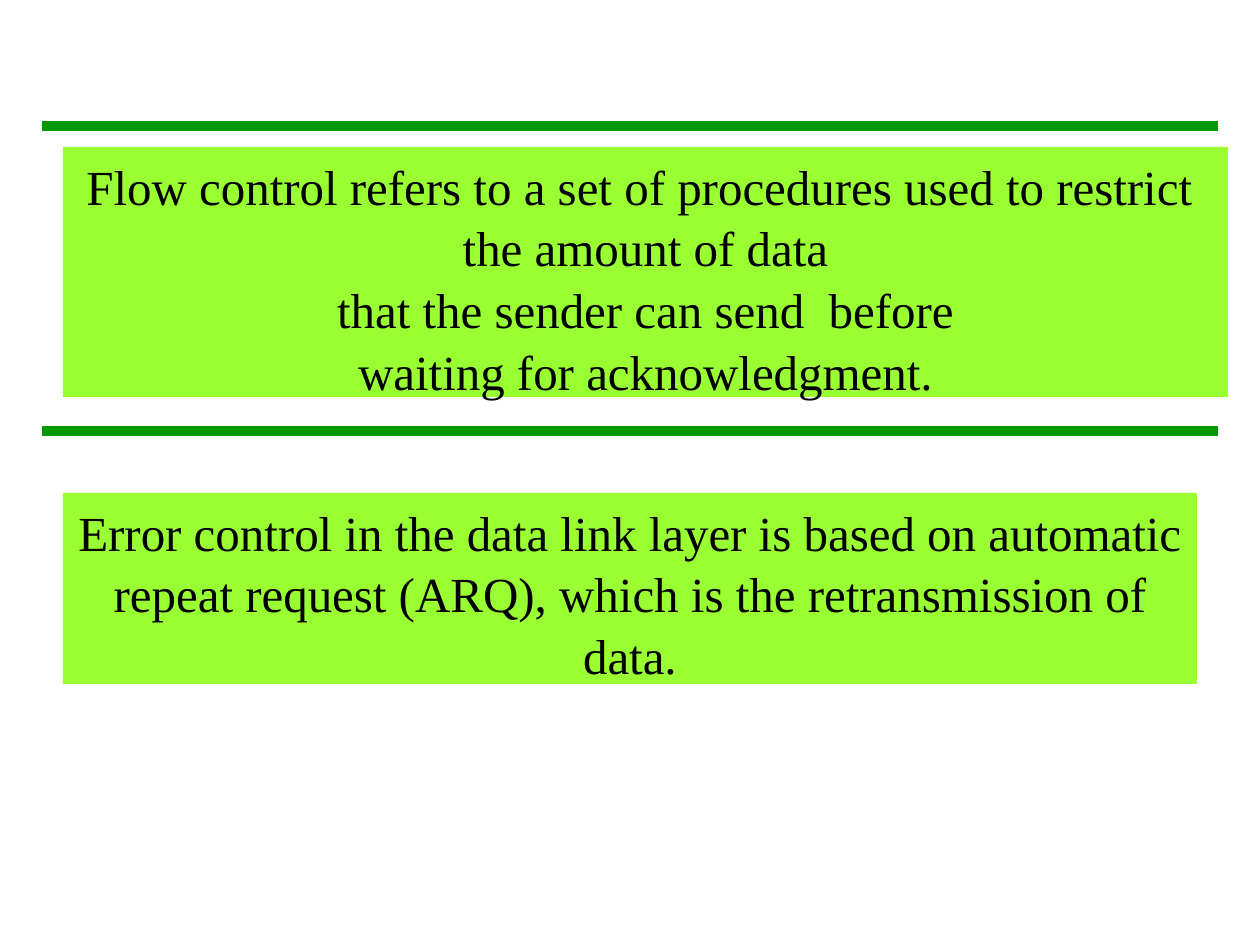
from pptx import Presentation
from pptx.dml.color import RGBColor
from pptx.enum.shapes import MSO_CONNECTOR, MSO_SHAPE
from pptx.enum.text import MSO_ANCHOR, PP_ALIGN
from pptx.oxml.ns import qn
from pptx.util import Emu, Pt
from lxml import etree

PX = 914400 // 126
COLORS = {"rule": "009900", "panel": "99FF33", "text": "000000"}

FLOW_CONTROL = [
    "Flow control refers to a set of procedures used to restrict  the amount of data",
    "that the sender can send  before",
    "waiting for acknowledgment.",
]
ERROR_CONTROL = [
    "Error control in the data link layer is based on automatic repeat request "
    "(ARQ), which is the retransmission of data.",
]


def px(n):
    return Emu(n * PX)


def color(name):
    return RGBColor.from_string(COLORS[name])


def add_rule(slide, x, y, width):
    line = slide.shapes.add_connector(
        MSO_CONNECTOR.STRAIGHT, px(x), px(y), px(x + width), px(y))
    line.line.color.rgb = color("rule")
    line.line.width = Pt(6)
    etree.SubElement(line._element.spPr, qn("a:effectLst"))


def add_panel(slide, x, y, width, height, lines):
    sp = slide.shapes.add_shape(
        MSO_SHAPE.RECTANGLE, px(x), px(y), px(width), px(height))
    sp.shadow.inherit = False
    sp.fill.solid()
    sp.fill.fore_color.rgb = color("panel")
    sp.line.fill.background()

    tf = sp.text_frame
    tf.word_wrap = True
    tf.vertical_anchor = MSO_ANCHOR.TOP
    tf.text = "\n".join(lines)
    for p in tf.paragraphs:
        p.alignment = PP_ALIGN.CENTER
        p.line_spacing = 1.05
        for r in p.runs:
            r.font.name = "Times New Roman"
            r.font.size = Pt(28)
            r.font.color.rgb = color("text")


def main():
    prs = Presentation()
    prs.slide_width, prs.slide_height = px(1260), px(945)
    slide = prs.slides.add_slide(prs.slide_layouts[6])

    # Rules above and below the first statement
    for y in (126, 431):
        add_rule(slide, 42, y, 1176)

    # Statements
    add_panel(slide, 63, 147, 1165, 250, FLOW_CONTROL)
    add_panel(slide, 63, 493, 1134, 191, ERROR_CONTROL)

    prs.save("out.pptx")


if __name__ == "__main__":
    main()
